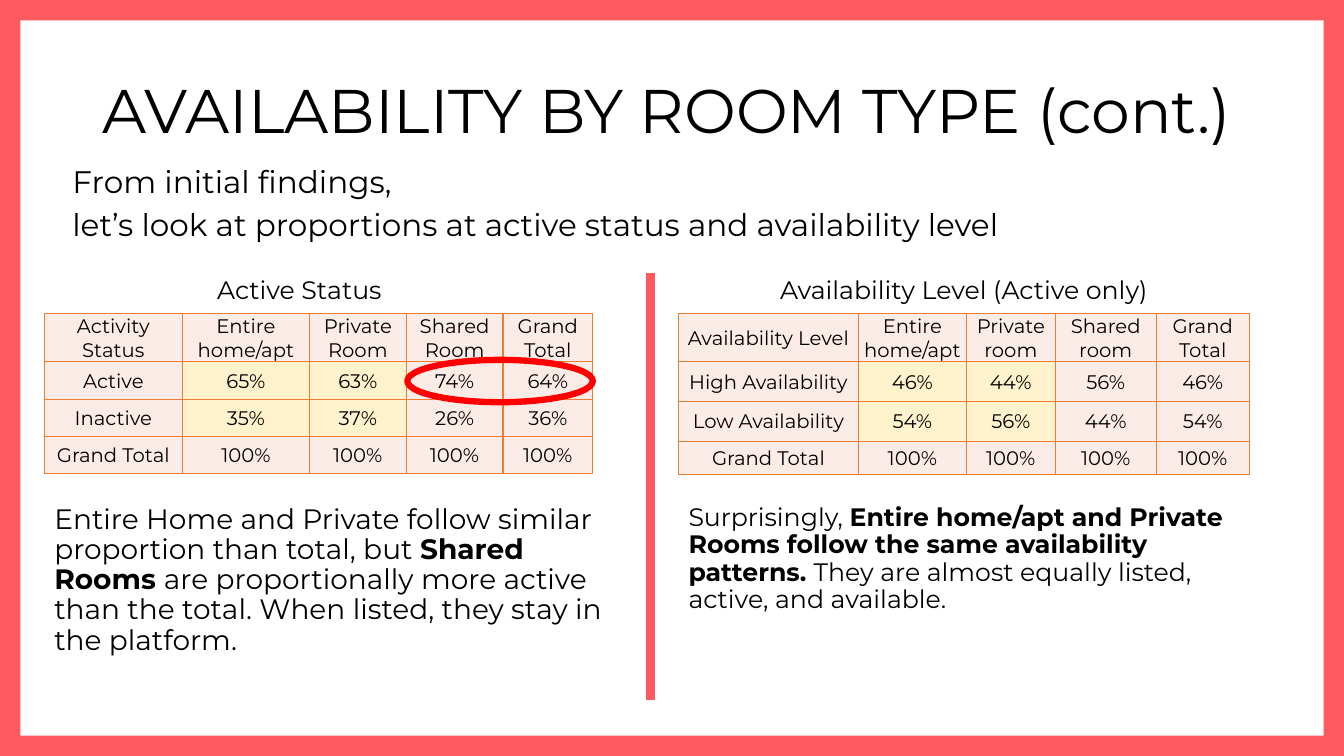
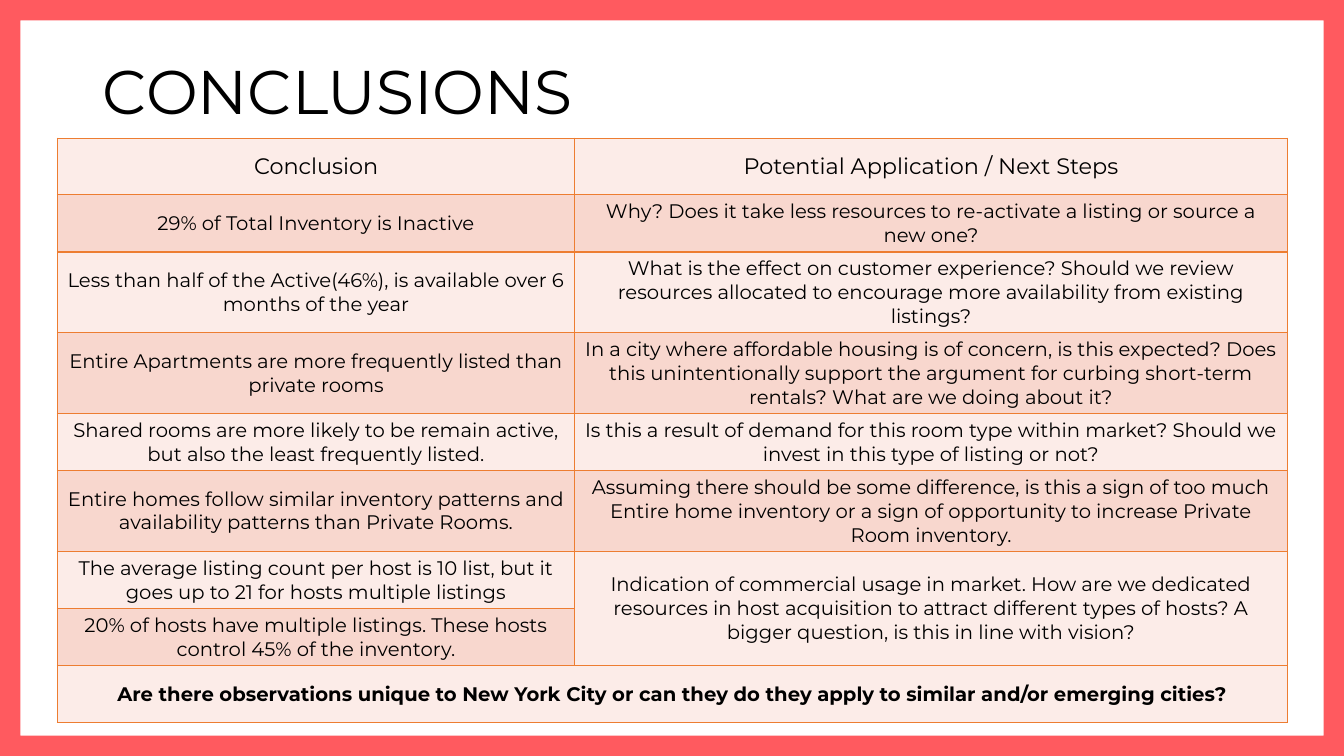
from dataclasses import dataclass

from lxml.etree import SubElement
from pptx import Presentation
from pptx.dml.color import RGBColor
from pptx.enum.shapes import MSO_CONNECTOR, MSO_SHAPE
from pptx.enum.text import MSO_ANCHOR, PP_ALIGN
from pptx.oxml.ns import qn
from pptx.util import Inches, Pt


@dataclass(frozen=True)
class Theme:
    font: str = "Montserrat"
    text: str = "000000"
    accent: str = "FF5A5F"
    marker: str = "FF0000"
    border: str = "ED7D31"
    pale: str = "FCECE8"
    band: str = "F8D7CE"
    highlight: str = "FFF2CC"
    title_size: float = 44
    intro_size: float = 22.2
    heading_size: float = 18
    header_size: float = 16
    cell_size: float = 14


THEME = Theme()
WIDTH, HEIGHT = Inches(13.33), Inches(7.5)

# Boxes are left, top, width, height in percent of the slide.
# In a paragraph's pieces, every second one is bold.
AVAILABILITY_TITLE = "AVAILABILITY BY ROOM TYPE (cont.)"
INTRO = [
    ("From initial findings,",),
    ("let’s look at proportions at active status and availability level",),
]
PANELS = [
    {
        "heading": "Active Status",
        "heading_box": (12.15, 36.13, 20.25, 5.6),
        "table_box": (3.3, 41.47, 40.81, 21.2),
        "columns": (137, 126, 96, 96, 89),
        "rows": (48, 37, 37, 37),
        "cells": [
            ("Activity Status", "Entire home/apt", "Private Room", "Shared Room", "Grand Total"),
            ("Active", "65%", "63%", "74%", "64%"),
            ("Inactive", "35%", "37%", "26%", "36%"),
            ("Grand Total", "100%", "100%", "100%", "100%"),
        ],
        "finding": (
            "Entire Home and Private follow similar proportion than total, but ",
            "Shared Rooms ",
            "are proportionally more active than the total. When listed, they stay in the platform.",
        ),
        "finding_size": 20,
    },
    {
        "heading": "Availability Level (Active only)",
        "heading_box": (56.11, 36.13, 31.21, 5.6),
        "table_box": (50.49, 41.47, 42.46, 21.2),
        "columns": (178, 107, 88, 100, 92),
        "rows": (46, 39, 39, 33),
        "cells": [
            ("Availability Level", "Entire home/apt", "Private room", "Shared room", "Grand Total"),
            ("High Availability", "46%", "44%", "56%", "46%"),
            ("Low Availability", "54%", "56%", "44%", "54%"),
            ("Grand Total", "100%", "100%", "100%", "100%"),
        ],
        "finding": (
            "Surprisingly, ",
            "Entire home/apt and Private Rooms follow the same availability patterns. ",
            "They are almost equally listed, active, and available.",
        ),
        "finding_size": 18,
    },
]

CONCLUSIONS_TITLE = "CONCLUSIONS"
CONCLUSIONS_BOX = (4.28, 18.27, 91.52, 76.53)
CONCLUSIONS_COLUMNS = (513, 707)
CONCLUSIONS_ROWS = (54, 54, 75, 76, 54, 76, 54, 54, 54)
CONCLUSIONS = [
    ("Conclusion", "Potential Application / Next Steps"),
    ("29% of Total Inventory is Inactive",
     "Why? Does it take less resources to re-activate a listing or source a new one?"),
    ("Less than half of the Active(46%), is available over 6 months of the year",
     "What is the effect on customer experience? Should we review resources allocated "
     "to encourage more availability from existing listings?"),
    ("Entire Apartments are more frequently listed than private rooms",
     "In a city where affordable housing is of concern, is this expected? Does this "
     "unintentionally support the argument for curbing short-term rentals? "
     "What are we doing about it?"),
    ("Shared rooms are more likely to be remain active, but also the least frequently listed.",
     "Is this a result of demand for this room type within market? Should we invest "
     "in this type of listing or not?"),
    ("Entire homes follow similar inventory patterns and availability patterns than Private Rooms.",
     "Assuming there should be some difference, is this a sign of too much Entire home "
     "inventory or a sign of opportunity to increase Private Room inventory."),
    ("The average listing count per host is 10 list, but it goes up to 21 for hosts multiple listings",
     "Indication of commercial usage in market. How are we dedicated resources in host "
     "acquisition to attract different types of hosts? A bigger question, is this in line with vision?"),
    ("20% of hosts have multiple listings. These hosts control 45% of the inventory.", ""),
    ("Are there observations unique to New York City or can they do they apply to similar "
     "and/or emerging cities?", ""),
]


def place(box):
    left, top, width, height = (value / 100 for value in box)
    return int(left * WIDTH), int(top * HEIGHT), int(width * WIDTH), int(height * HEIGHT)


def color(value):
    return RGBColor.from_string(value)


def style_run(run, size, bold=False):
    run.font.name = THEME.font
    run.font.size = Pt(size)
    run.font.bold = bold
    run.font.color.rgb = color(THEME.text)


def add_text(slide, box, paragraphs, size, align=PP_ALIGN.LEFT,
             anchor=MSO_ANCHOR.TOP, spacing=0.9, before=10):
    frame = slide.shapes.add_textbox(*place(box)).text_frame
    frame.word_wrap = True
    frame.vertical_anchor = anchor
    for index, pieces in enumerate(paragraphs):
        paragraph = frame.add_paragraph() if index else frame.paragraphs[0]
        paragraph.alignment = align
        paragraph.line_spacing = spacing
        paragraph.space_before = Pt(before)
        for position, piece in enumerate(pieces):
            run = paragraph.add_run()
            run.text = piece
            style_run(run, size, bold=position % 2 == 1)


def add_framed_slide(presentation, title, title_top, title_width):
    slide = presentation.slides.add_slide(presentation.slide_layouts[6])
    frame = slide.shapes.add_shape(MSO_SHAPE.FRAME, 0, 0, WIDTH, HEIGHT)
    frame.adjustments[0] = 0.027
    frame.shadow.inherit = False
    frame.fill.solid()
    frame.fill.fore_color.rgb = color(THEME.accent)
    frame.line.fill.background()
    add_text(slide, (6.9, title_top, title_width, 19.33), [(title,)], THEME.title_size,
             anchor=MSO_ANCHOR.MIDDLE, before=0)
    return slide


def add_borders(cell):
    properties = cell._tc.get_or_add_tcPr()
    for side in ("lnL", "lnR", "lnT", "lnB"):
        line = SubElement(properties, qn(f"a:{side}"), w=str(Pt(1)))
        fill = SubElement(line, qn("a:solidFill"))
        SubElement(fill, qn("a:srgbClr"), val=THEME.border)


def add_grid(slide, box, columns, rows, cells, fill_for, style_for, tight=False):
    left, top, width, height = place(box)
    table = slide.shapes.add_table(len(rows), len(columns), left, top, width, height).table
    table.first_row = table.horz_banding = False
    for column, weight in zip(table.columns, columns):
        column.width = int(width * weight / sum(columns))
    for row, weight in zip(table.rows, rows):
        row.height = int(height * weight / sum(rows))
    for row, texts in enumerate(cells):
        for column, text in enumerate(texts):
            cell = table.cell(row, column)
            add_borders(cell)
            cell.fill.solid()
            cell.fill.fore_color.rgb = color(fill_for(row, column))
            cell.vertical_anchor = MSO_ANCHOR.MIDDLE
            if tight:
                cell.margin_left = cell.margin_right = cell.margin_top = Inches(0.01)
                cell.margin_bottom = 0
            paragraph = cell.text_frame.paragraphs[0]
            paragraph.text = text
            paragraph.alignment = PP_ALIGN.CENTER
            for run in paragraph.runs:
                style_run(run, *style_for(row))
    return table


def panel_fill(row, column):
    return THEME.highlight if row in (1, 2) and column in (1, 2) else THEME.pale


def banded_fill(row, column):
    return THEME.band if row % 2 else THEME.pale


def conclusion_style(row):
    size = THEME.cell_size if row else THEME.header_size
    return size, row == len(CONCLUSIONS) - 1


def add_panel(slide, panel):
    add_grid(slide, panel["table_box"], panel["columns"], panel["rows"], panel["cells"],
             panel_fill, lambda row: (THEME.cell_size,), tight=True)
    add_text(slide, panel["heading_box"], [(panel["heading"],)], THEME.heading_size,
             align=PP_ALIGN.CENTER)
    add_text(slide, (panel["table_box"][0], 66.13, 42.91, 28.53), [panel["finding"]],
             panel["finding_size"])


def add_availability(presentation):
    slide = add_framed_slide(presentation, AVAILABILITY_TITLE, 5.33, 89.57)
    add_text(slide, (4.65, 21.73, 86.27, 11.33), INTRO, THEME.intro_size, spacing=0.8)
    for panel in PANELS:
        add_panel(slide, panel)

    marker = slide.shapes.add_shape(MSO_SHAPE.OVAL, *place((30.31, 47.6, 13.8, 5.6)))
    marker.shadow.inherit = False
    marker.fill.background()
    marker.line.color.rgb = color(THEME.marker)
    marker.line.width = Pt(4.5)

    left, top, width, height = place((48.39, 36.13, 0, 56.53))
    divider = slide.shapes.add_connector(
        MSO_CONNECTOR.STRAIGHT, left, top, left + width, top + height)
    divider.line.color.rgb = color(THEME.accent)
    divider.line.width = Pt(6)
    SubElement(divider._element.spPr, qn("a:effectLst"))


def add_conclusions(presentation):
    slide = add_framed_slide(presentation, CONCLUSIONS_TITLE, 2.8, 86.27)
    table = add_grid(slide, CONCLUSIONS_BOX, CONCLUSIONS_COLUMNS, CONCLUSIONS_ROWS,
                     CONCLUSIONS, banded_fill, conclusion_style)
    table.cell(6, 1).merge(table.cell(7, 1))
    table.cell(8, 0).merge(table.cell(8, 1))


def main():
    presentation = Presentation()
    presentation.slide_width, presentation.slide_height = WIDTH, HEIGHT
    add_availability(presentation)
    add_conclusions(presentation)
    presentation.save("out.pptx")


if __name__ == "__main__":
    main()
